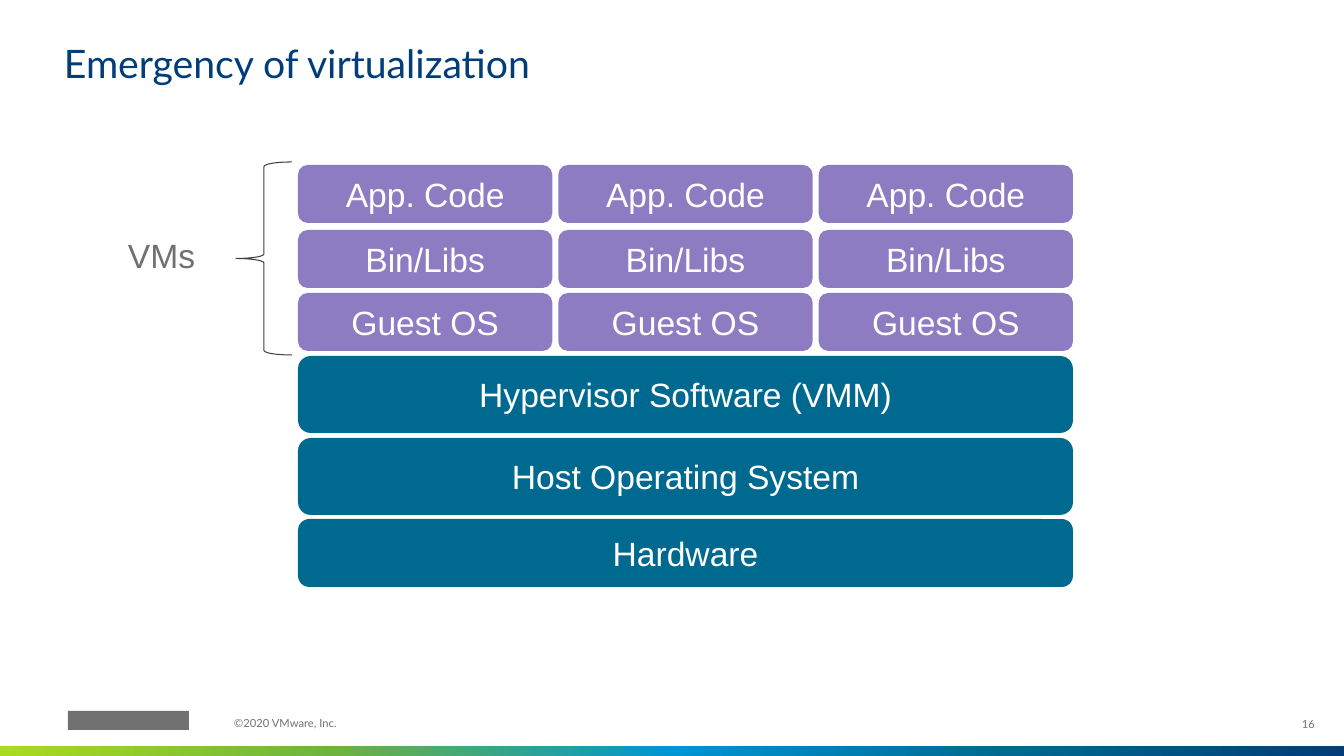
from lxml import etree
from pptx import Presentation
from pptx.dml.color import RGBColor
from pptx.enum.shapes import MSO_SHAPE
from pptx.enum.text import MSO_ANCHOR, PP_ALIGN
from pptx.oxml.ns import qn
from pptx.util import Pt

RECT, ROUND, BRACE = MSO_SHAPE.RECTANGLE, MSO_SHAPE.ROUNDED_RECTANGLE, MSO_SHAPE.LEFT_BRACE
TOP, MIDDLE, BOTTOM = MSO_ANCHOR.TOP, MSO_ANCHOR.MIDDLE, MSO_ANCHOR.BOTTOM
LEFT, CENTER, RIGHT = PP_ALIGN.LEFT, PP_ALIGN.CENTER, PP_ALIGN.RIGHT

PX = 914400 / 100.8
NAVY, TEAL, PURPLE, WHITE = "003D79", "006990", "8E7CC3", "FFFFFF"
GREY, LOGO_GREY, BRACE_GREY = "717074", "717073", "3F3F3F"

SLIDE_W, SLIDE_H = 1344, 756
BAR_STOPS = [(0, "AADB1E"), (25, "6DB33F"), (50, "0095D3"), (75, TEAL), (100, NAVY)]
BAR_H = 10

# text, top, height
HOST_LAYERS = [
    ("Hypervisor Software (VMM)", 356, 77),
    ("Host Operating System", 438, 77),
    ("Hardware", 519, 68),
]
# text, top
VM_LAYERS = [("App. Code", 165), ("Bin/Libs", 230), ("Guest OS", 293)]
VM_COUNT, VM_GAP, VM_LAYER_H = 3, 6, 58
STACK_X, STACK_W = 298, 775
INSET = 10

# text, box, size, font, colour, align, anchor, inset, line spacing, wrap
LABELS = [
    ("Emergency of virtualization", (64, 45, 1212, 42), 28, "Lato", NAVY, LEFT, BOTTOM, 0, 0.9, False),
    ("©2020 VMware, Inc.", (234, 718, 217, 16), 8, "Lato", GREY, LEFT, TOP, 0, 0.9, True),
    ("16", (1267, 705, 48, 40), 8, "Lato", GREY, RIGHT, MIDDLE, 0, 0.9, True),
    ("VMs", (118, 225, 101, 68), 24, "Arial", GREY, LEFT, TOP, INSET, 1.0, True),
]


def emu(box):
    return [round(v * PX) for v in box]


def rgb(color):
    return RGBColor.from_string(color)


def write(sp, text, size, font, color, align, anchor, inset, spacing=1.0, wrap=True):
    tf = sp.text_frame
    tf.word_wrap = wrap
    tf.vertical_anchor = anchor
    tf.margin_left = tf.margin_right = tf.margin_top = tf.margin_bottom = round(inset * PX)
    p = tf.paragraphs[0]
    p.text = text
    p.alignment = align
    p.line_spacing = spacing
    p.font.size, p.font.name = Pt(size), font
    p.font.color.rgb = rgb(color)


def add_shape(kind, box, fill=None):
    sp = s.shapes.add_shape(kind, *emu(box))
    sp.shadow.inherit = False
    sp.line.fill.background()
    if fill:
        sp.fill.solid()
        sp.fill.fore_color.rgb = rgb(fill)
    else:
        sp.fill.background()
    return sp


def add_layer(text, box, fill):
    sp = add_shape(ROUND, box, fill)
    write(sp, text, 24, "Arial", WHITE, CENTER, MIDDLE, INSET)


def set_gradient(sp, stops):
    sp.fill.gradient()
    sp.fill.gradient_angle = 0
    gs_list = sp._element.spPr.find(qn("a:gradFill")).find(qn("a:gsLst"))
    for gs in list(gs_list):
        gs_list.remove(gs)
    for percent, color in stops:
        gs = etree.SubElement(gs_list, qn("a:gs"), pos=str(percent * 1000))
        etree.SubElement(gs, qn("a:srgbClr"), val=color)


prs = Presentation()
prs.slide_width, prs.slide_height = emu((SLIDE_W, SLIDE_H))
s = prs.slides.add_slide(prs.slide_layouts[6])

bar = add_shape(RECT, (0, SLIDE_H - BAR_H, SLIDE_W, BAR_H))
set_gradient(bar, BAR_STOPS)
add_shape(RECT, (68, 711, 121, 19), LOGO_GREY)

for text, box, *style in LABELS:
    write(s.shapes.add_textbox(*emu(box)), text, *style)

for text, top, height in HOST_LAYERS:
    add_layer(text, (STACK_X, top, STACK_W, height), TEAL)

vm_w = (STACK_W - (VM_COUNT - 1) * VM_GAP) / VM_COUNT
for vm in range(VM_COUNT):
    for text, top in VM_LAYERS:
        add_layer(text, (STACK_X + vm * (vm_w + VM_GAP), top, vm_w, VM_LAYER_H), PURPLE)

brace = add_shape(BRACE, (236, 162, 56, 193))
brace.adjustments[0] = 0.08
brace.line.color.rgb = rgb(BRACE_GREY)
brace.line.width = Pt(0.75)

prs.save("out.pptx")
